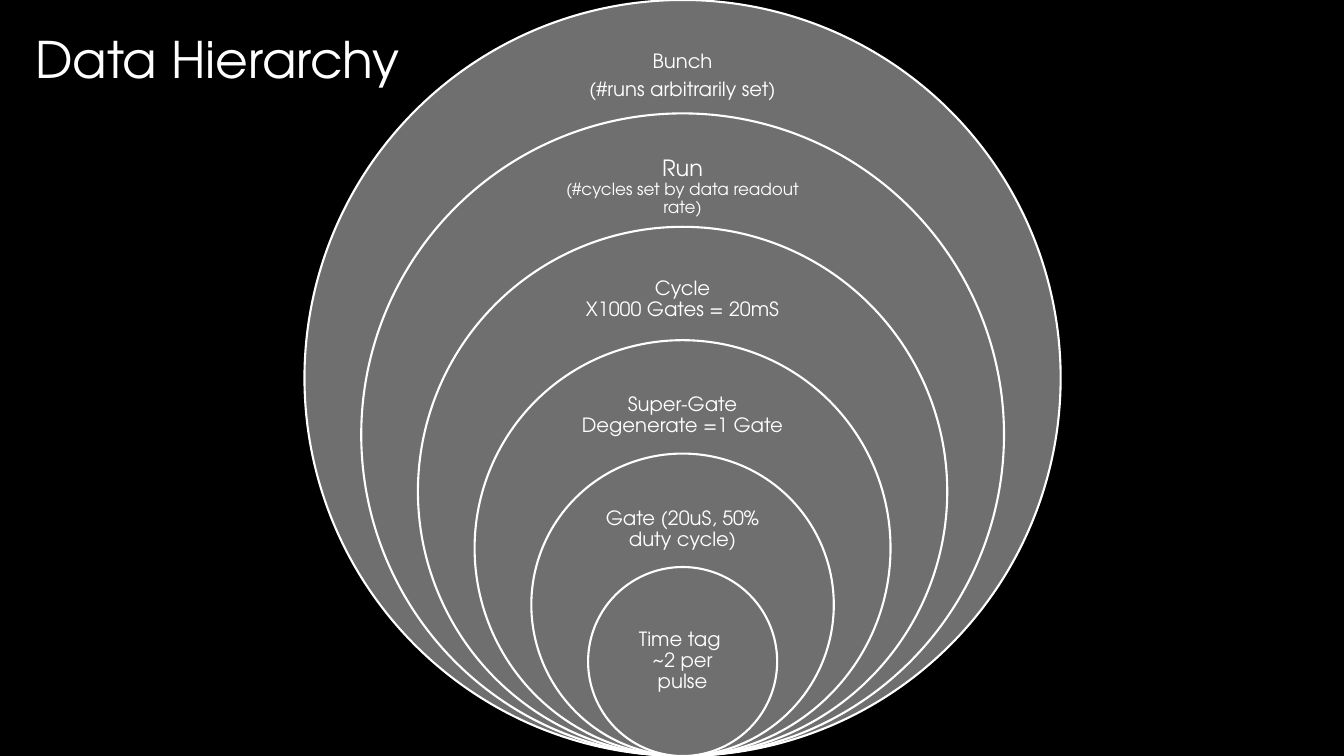
from copy import deepcopy
from dataclasses import dataclass

from pptx import Presentation
from pptx.dml.color import RGBColor
from pptx.enum.shapes import MSO_SHAPE
from pptx.enum.text import MSO_ANCHOR, PP_ALIGN
from pptx.slide import Slide
from pptx.text.text import _Paragraph, _Run
from pptx.util import Inches, Pt

OVAL = MSO_SHAPE.OVAL
MIDDLE = MSO_ANCHOR.MIDDLE
CENTER = PP_ALIGN.CENTER

BLACK = RGBColor(0x00, 0x00, 0x00)
GRAY = RGBColor(0x6F, 0x6F, 0x6F)
WHITE = RGBColor(0xFF, 0xFF, 0xFF)
FONT = "TeX Gyre Adventor"

SLIDE_WIDTH = 13.33
SLIDE_HEIGHT = 7.5
CENTER_X = 6.77
RING_STEP = SLIDE_HEIGHT * 0.15


@dataclass(frozen=True)
class Line:
    """One line of a label and its size in points."""
    text: str
    size: int = 14


@dataclass(frozen=True)
class Level:
    """A level of the hierarchy: its label box and paragraphs of lines."""
    top: float
    width: float
    height: float
    paragraphs: tuple[tuple[Line, ...], ...]
    inset: float = 0.11


LEVELS = (
    Level(0.38, 2.81, 0.75, ((Line("Bunch"),), (Line("(#runs arbitrarily set)"),))),
    Level(1.49, 2.75, 0.73,
          ((Line("Run", 16), Line("(#cycles set by data readout rate)", 12)),), 0.12),
    Level(2.61, 2.72, 0.72, ((Line("Cycle"), Line("X1000 Gates = 20mS")),)),
    Level(3.75, 2.23, 0.74, ((Line("Super-Gate"), Line("Degenerate =1 Gate")),)),
    Level(4.88, 1.95, 0.75, ((Line("Gate (20uS, 50% duty cycle)"),),)),
    Level(6.09, 1.33, 0.94, ((Line("Time tag "), Line("~2 per pulse")),)),
)


def add_span(para: _Paragraph, line: Line) -> _Run:
    """Add one white run to a paragraph."""
    span = para.add_run()
    span.text = line.text
    span.font.name = FONT
    span.font.size = Pt(line.size)
    span.font.color.rgb = WHITE
    return span


def add_lines(para: _Paragraph, lines: tuple[Line, ...]) -> None:
    """Add lines to a paragraph; each break takes the size of the line before it."""
    for index, line in enumerate(lines):
        if index:
            para.add_line_break()
            para._p[-1].append(deepcopy(span._r.rPr))
        span = add_span(para, line)


def add_ring(page: Slide, index: int) -> None:
    """Draw the circle of a level, resting on the bottom edge of the slide."""
    top = index * RING_STEP
    diameter = SLIDE_HEIGHT - top
    ring = page.shapes.add_shape(OVAL, Inches(CENTER_X - diameter / 2), Inches(top),
                                 Inches(diameter), Inches(diameter))
    ring.shadow.inherit = False
    ring.fill.solid()
    ring.fill.fore_color.rgb = GRAY
    ring.line.color.rgb = WHITE
    ring.line.width = Pt(1.5)


def add_label(page: Slide, level: Level) -> None:
    """Write the centred label of a level."""
    box = page.shapes.add_textbox(Inches(CENTER_X - level.width / 2), Inches(level.top),
                                  Inches(level.width), Inches(level.height))
    frame = box.text_frame
    frame.word_wrap = True
    frame.vertical_anchor = MIDDLE
    frame.margin_left = frame.margin_right = Inches(level.inset)
    frame.margin_top = frame.margin_bottom = Inches(level.inset)
    for index, lines in enumerate(level.paragraphs):
        para = frame.add_paragraph() if index else frame.paragraphs[0]
        para.alignment = CENTER
        para.line_spacing = 0.9
        para.space_after = Pt(5)
        add_lines(para, lines)


def add_title(page: Slide) -> None:
    """Write the slide title."""
    box = page.shapes.add_textbox(Inches(0.25), Inches(0.23), Inches(4.05), Inches(0.71))
    box.text_frame.word_wrap = True
    add_span(box.text_frame.paragraphs[0], Line("Data Hierarchy", 36))


def main() -> None:
    """Build and save the deck."""
    deck = Presentation()
    deck.slide_width = Inches(SLIDE_WIDTH)
    deck.slide_height = Inches(SLIDE_HEIGHT)
    page = deck.slides.add_slide(deck.slide_layouts[6])
    page.background.fill.solid()
    page.background.fill.fore_color.rgb = BLACK
    for index, level in enumerate(LEVELS):
        add_ring(page, index)
        add_label(page, level)
    add_title(page)
    deck.save("out.pptx")


main()
